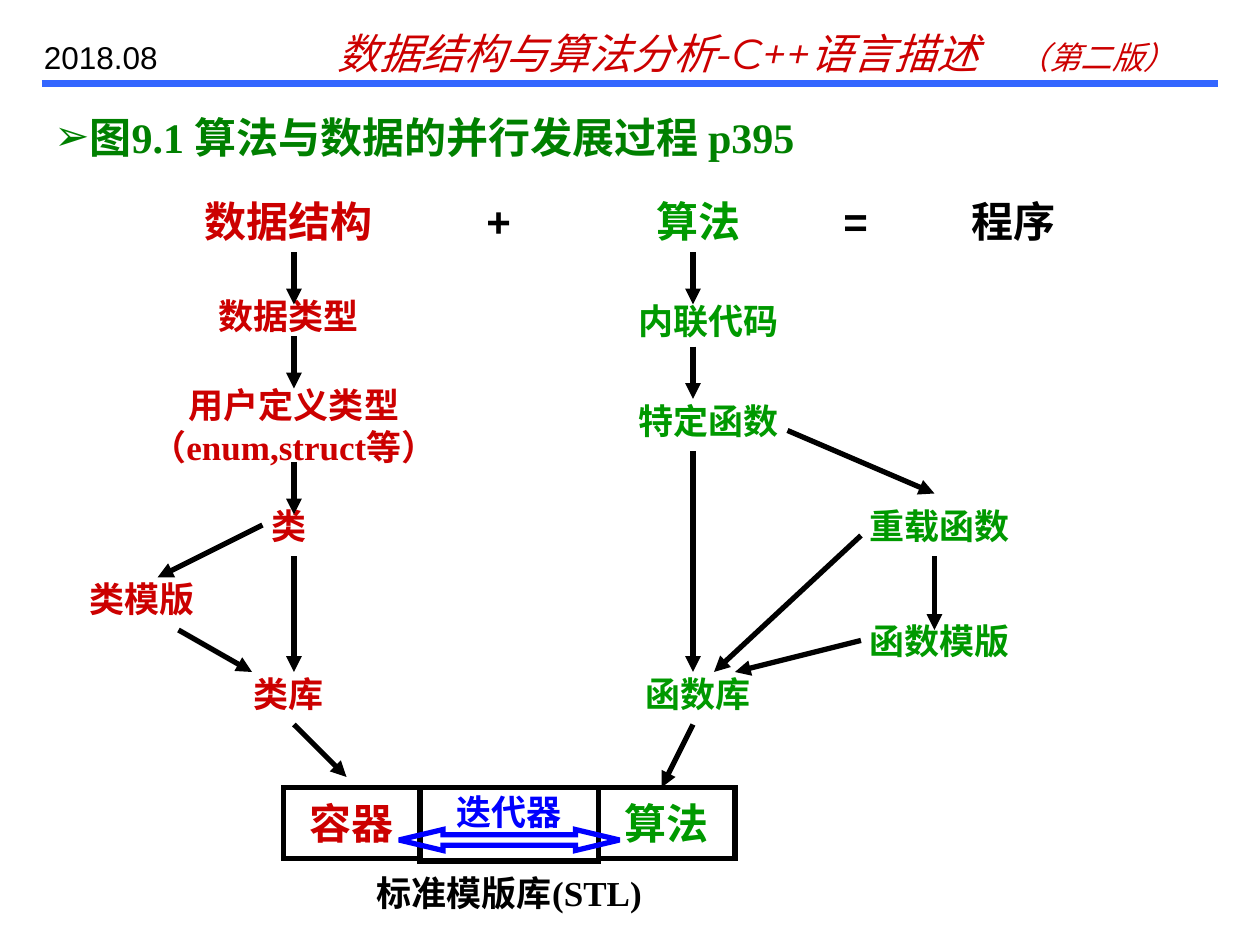
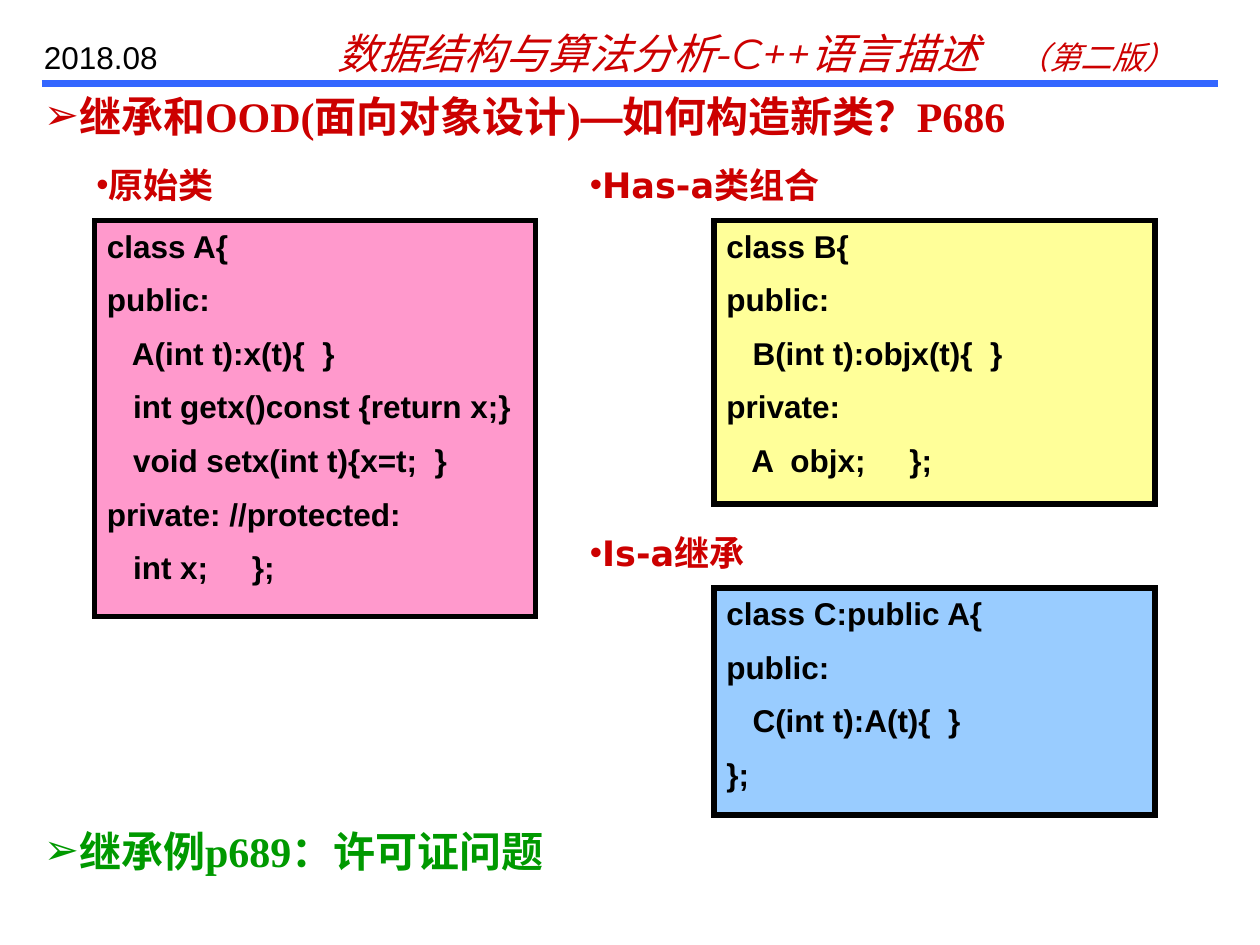
from dataclasses import dataclass, replace

from lxml import etree
from pptx import Presentation
from pptx import util as u
from pptx.dml import color as dml
from pptx.enum import shapes, text
from pptx.oxml import ns


@dataclass(frozen=True)
class Theme:
    red: str = "CC0000"
    green: str = "009900"
    title_green: str = "008000"
    blue: str = "0000FF"
    band: str = "3366FF"
    black: str = "000000"
    pink: str = "FF99CC"
    yellow: str = "FFFF99"
    sky: str = "99CCFF"
    serif: str = "Times New Roman"
    sans: str = "Arial"
    wide: str = "DejaVu Sans"
    banner: str = "Montserrat"
    large: int = 24
    medium: int = 20
    small: int = 18
    border: int = 3
    band_width: int = 4
    line_gap: int = 9


T = Theme()


@dataclass(frozen=True)
class Style:
    font: str
    size: int
    color: str
    bold: bool = True
    italic: bool = False


@dataclass(frozen=True)
class Box:
    left: int
    top: int
    width: int
    height: int

    def inner(self, left, top, width, height):
        return Box(self.left + left, self.top + top, width, height)

    def emu(self):
        return [px(n) for n in (self.left, self.top, self.width, self.height)]


def px(n):
    return u.Emu(n * 9525)


def rgb(value):
    return dml.RGBColor.from_string(value)


# ---- Shared drawing helpers ----
def add_xml(parent, tag, **attributes):
    return etree.SubElement(parent, ns.qn(tag), **attributes)


def style_run(run, style):
    run.font.name = style.font
    run.font.size = u.Pt(style.size)
    run.font.bold = style.bold
    run.font.italic = style.italic
    run.font.color.rgb = rgb(style.color)


def write(shape, lines, style, align=text.PP_ALIGN.LEFT,
          anchor=text.MSO_ANCHOR.TOP, gap=0):
    frame = shape.text_frame
    frame.word_wrap = True
    frame.vertical_anchor = anchor
    frame.text = lines
    for number, paragraph in enumerate(frame.paragraphs):
        paragraph.alignment = align
        if number and gap:
            paragraph.space_before = u.Pt(gap)
        for run in paragraph.runs:
            style_run(run, style)
    return frame


def add_text(slide, box, lines, style, **options):
    return write(slide.shapes.add_textbox(*box.emu()), lines, style, **options)


def add_bulleted(slide, box, words, style, bullet):
    paragraph = add_text(slide, box, words, style).paragraphs[0]
    properties = paragraph._p.get_or_add_pPr()
    properties.set("marL", "0")
    properties.set("indent", "0")
    add_xml(properties, "a:buFont", typeface=T.sans)
    add_xml(properties, "a:buChar", char=bullet)
    return paragraph


def add_outlined(slide, kind, box, line, fill=None):
    shape = slide.shapes.add_shape(kind, *box.emu())
    shape.shadow.inherit = False
    if fill:
        shape.fill.solid()
        shape.fill.fore_color.rgb = rgb(fill)
    else:
        shape.fill.background()
    shape.line.color.rgb = rgb(line)
    shape.line.width = u.Pt(T.border)
    add_xml(shape.line._get_or_add_ln(), "a:miter", lim="800000")
    return shape


def add_line(slide, box, start, end, color, width, arrow=False):
    x1, y1, x2, y2 = (px(n) for n in (
        box.left + start[0], box.top + start[1], box.left + end[0], box.top + end[1]))
    line = slide.shapes.add_connector(shapes.MSO_CONNECTOR.STRAIGHT, x1, y1, x2, y2)
    line.line.color.rgb = rgb(color)
    line.line.width = u.Pt(width)
    if arrow:
        add_xml(line.line._get_or_add_ln(), "a:tailEnd", type="triangle")
    add_xml(line._element.spPr, "a:effectLst")


# ---- Header band shared by both slides ----
def add_header(slide, box):
    add_line(slide, box, (8, 64), (904, 64), T.band, T.band_width)
    style = Style(T.banner, T.large, T.red, bold=False, italic=True)
    course = add_text(slide, box.inner(224, 16, 672, 48),
                      "数据结构与算法分析-C++语言描述", style).paragraphs[0]
    tabs = add_xml(course._p.get_or_add_pPr(), "a:tabLst")
    add_xml(tabs, "a:tab", pos=str(px(518)), algn="l")
    edition = course.add_run()
    edition.text = "\t（第二版）"
    style_run(edition, replace(style, size=T.small))
    add_text(slide, box.inner(0, 24, 136, 38), "2018.08",
             Style(T.sans, T.small, T.black, bold=False))


def add_title(slide, box, words, color):
    return add_bulleted(slide, box, words, Style(T.serif, T.large, color), "➢")


# ---- Slide 1: parallel evolution of data and algorithms ----
def add_evolution(slide, box):
    data, functions, overloads = 180, 492, 676
    single, double = (136, 32), (256, 72)
    # Centre x, centre y, (width, height), words, colour, size, font
    labels = [
        (data, 16, (176, 32), "数据结构", T.red, T.large, T.serif),
        (340, 16, single, "+", T.black, T.large, T.sans),
        (functions, 16, single, "算法", T.green, T.large, T.sans),
        (612, 16, single, "=", T.black, T.large, T.sans),
        (732, 16, single, "程序", T.black, T.large, T.sans),
        (data, 88, single, "数据类型", T.red, T.medium, T.serif),
        (184, 172, double, "用户定义类型\n（enum,struct等）", T.red, T.medium, T.serif),
        (data, 248, single, "类", T.red, T.medium, T.serif),
        (68, 304, single, "类模版", T.red, T.medium, T.serif),
        (data, 376, single, "类库", T.red, T.medium, T.serif),
        (500, 92, single, "内联代码", T.green, T.medium, T.serif),
        (500, 168, single, "特定函数", T.green, T.medium, T.serif),
        (overloads, 248, single, "重载函数", T.green, T.medium, T.serif),
        (overloads, 336, single, "函数模版", T.green, T.medium, T.serif),
        (functions, 376, single, "函数库", T.green, T.medium, T.serif),
        (348, 528, (256, 32), "标准模版库(STL)", T.black, T.medium, T.serif),
    ]
    for x, y, (width, height), words, color, size, font in labels:
        add_text(slide, box.inner(x - width // 2, y - height // 2, width, height),
                 words, Style(font, size, color), align=text.PP_ALIGN.CENTER,
                 anchor=text.MSO_ANCHOR.MIDDLE)

    add_library(slide, box.inner(176, 448, 344, 56))

    # Vertical arrows: column x with its (from, to) heights
    columns = {
        184: [(40, 80), (104, 144), (200, 240), (272, 360)],
        488: [(40, 80), (112, 152), (192, 360)],
        672: [(272, 328)],
    }
    arrows = [((x, top), (x, bottom))
              for x, spans in columns.items() for top, bottom in spans]
    arrows += [
        ((160, 248), (80, 288)),
        ((96, 328), (152, 360)),
        ((560, 176), (672, 224)),
        ((616, 256), (504, 360)),
        ((616, 336), (520, 360)),
        ((184, 400), (224, 440)),
        ((488, 400), (464, 448)),
    ]
    for start, end in arrows:
        add_line(slide, box, start, end, T.black, T.border, arrow=True)


def add_library(slide, box):
    middle, top = text.MSO_ANCHOR.MIDDLE, text.MSO_ANCHOR.TOP
    cells = [
        ("容器", 104, 54, T.red, T.large, middle, 6),
        ("迭代器", 136, 56, T.blue, T.medium, top, 2),
        ("算法", 104, 54, T.green, T.large, middle, 6),
    ]
    left = 0
    for words, width, height, color, size, anchor, inset in cells:
        cell = add_outlined(slide, shapes.MSO_SHAPE.RECTANGLE,
                            box.inner(left, 0, width, height), T.black)
        frame = write(cell, words, Style(T.serif, size, color),
                      align=text.PP_ALIGN.CENTER, anchor=anchor)
        frame.margin_top = frame.margin_bottom = px(inset)
        left += width
    link = add_outlined(slide, shapes.MSO_SHAPE.LEFT_RIGHT_ARROW,
                        box.inner(88, 32, 168, 16), T.blue)
    link.adjustments[0] = 0.5
    link.adjustments[1] = 2.1


def build_evolution_slide(slide):
    add_header(slide, Box(24, 0, 912, 64))
    add_title(slide, Box(32, 80, 872, 48),
              "图9.1 算法与数据的并行发展过程 p395", T.title_green)
    add_evolution(slide, Box(40, 152, 800, 544))


# ---- Slide 2: composition and inheritance ----
CLASS_A = """class A{
public:
   A(int t):x(t){  }
   int getx()const {return x;}
   void setx(int t){x=t;  }
private: //protected:
   int x;     };"""

CLASS_B = """class B{
public:
   B(int t):objx(t){  }
private:
   A  objx;     };"""

CLASS_C = """class C:public A{
public:
   C(int t):A(t){  }
};"""


def add_class(slide, box, heading, code, fill, code_left):
    add_bulleted(slide, box.inner(0, 0, 264, 41), heading,
                 Style(T.wide, T.medium, T.red), "•")
    panel = add_outlined(slide, shapes.MSO_SHAPE.RECTANGLE,
                         box.inner(code_left, 48, 336, box.height - 48), T.black, fill)
    write(panel, code, Style(T.sans, T.small, T.black), gap=T.line_gap)


def build_inheritance_slide(slide):
    add_header(slide, Box(24, 0, 912, 64))
    title = add_title(slide, Box(24, 64, 872, 48), "继承和OOD(面向对象设计)", T.red)
    for words, font in (("—", T.sans), ("如何构造新类？P686", T.serif)):
        run = title.add_run()
        run.text = words
        style_run(run, Style(font, T.large, T.red))
    add_class(slide, Box(64, 120, 344, 350), "原始类", CLASS_A, T.pink, 8)
    add_class(slide, Box(440, 120, 440, 264), "Has-a类组合", CLASS_B, T.yellow, 104)
    add_class(slide, Box(440, 400, 440, 221), "Is-a继承", CLASS_C, T.sky, 104)
    add_title(slide, Box(24, 624, 872, 48), "继承例p689：许可证问题", T.green)


def main():
    deck = Presentation()
    deck.slide_width, deck.slide_height = px(960), px(720)
    blank = deck.slide_layouts[6]
    for build in (build_evolution_slide, build_inheritance_slide):
        build(deck.slides.add_slide(blank))
    deck.save("out.pptx")


if __name__ == "__main__":
    main()
